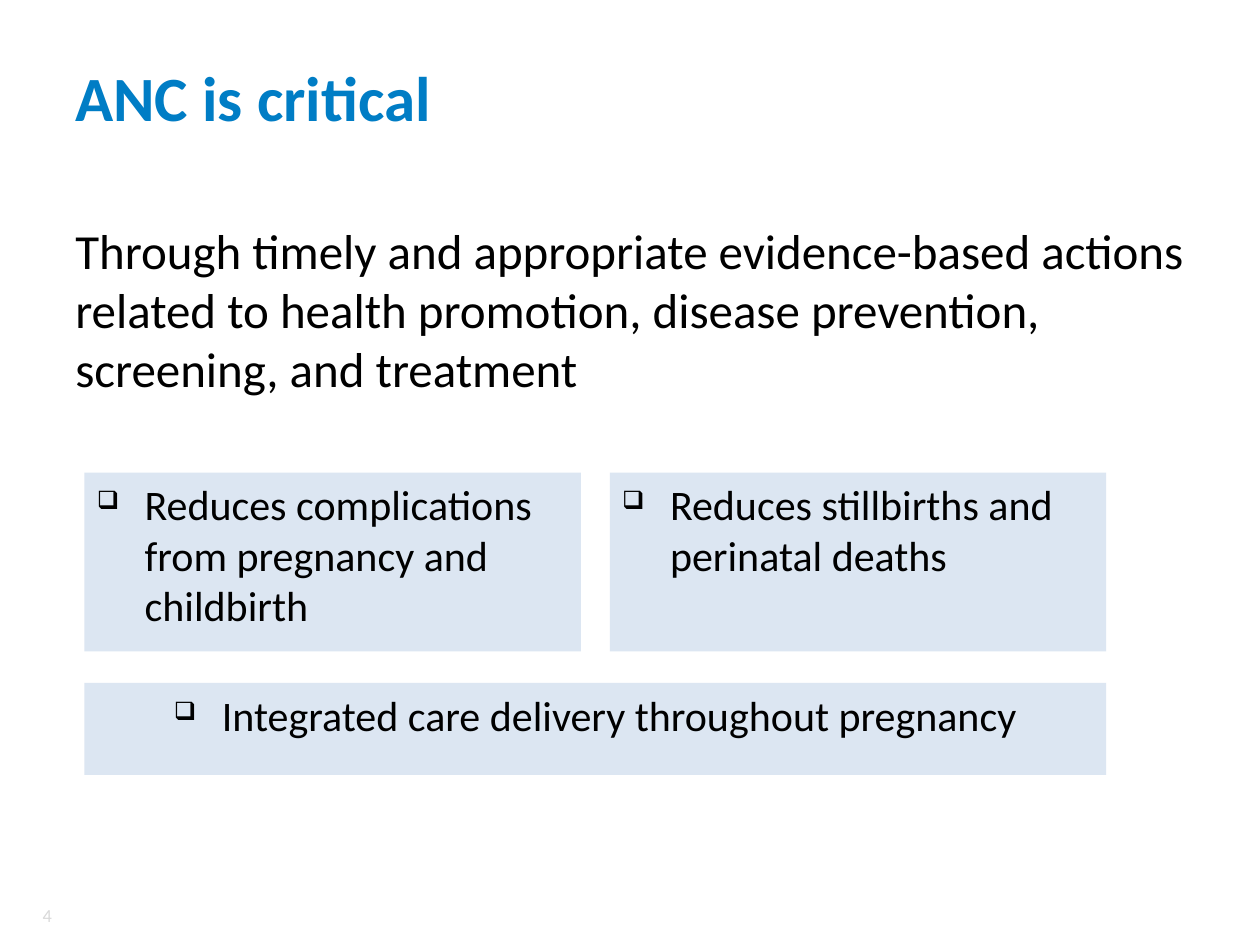
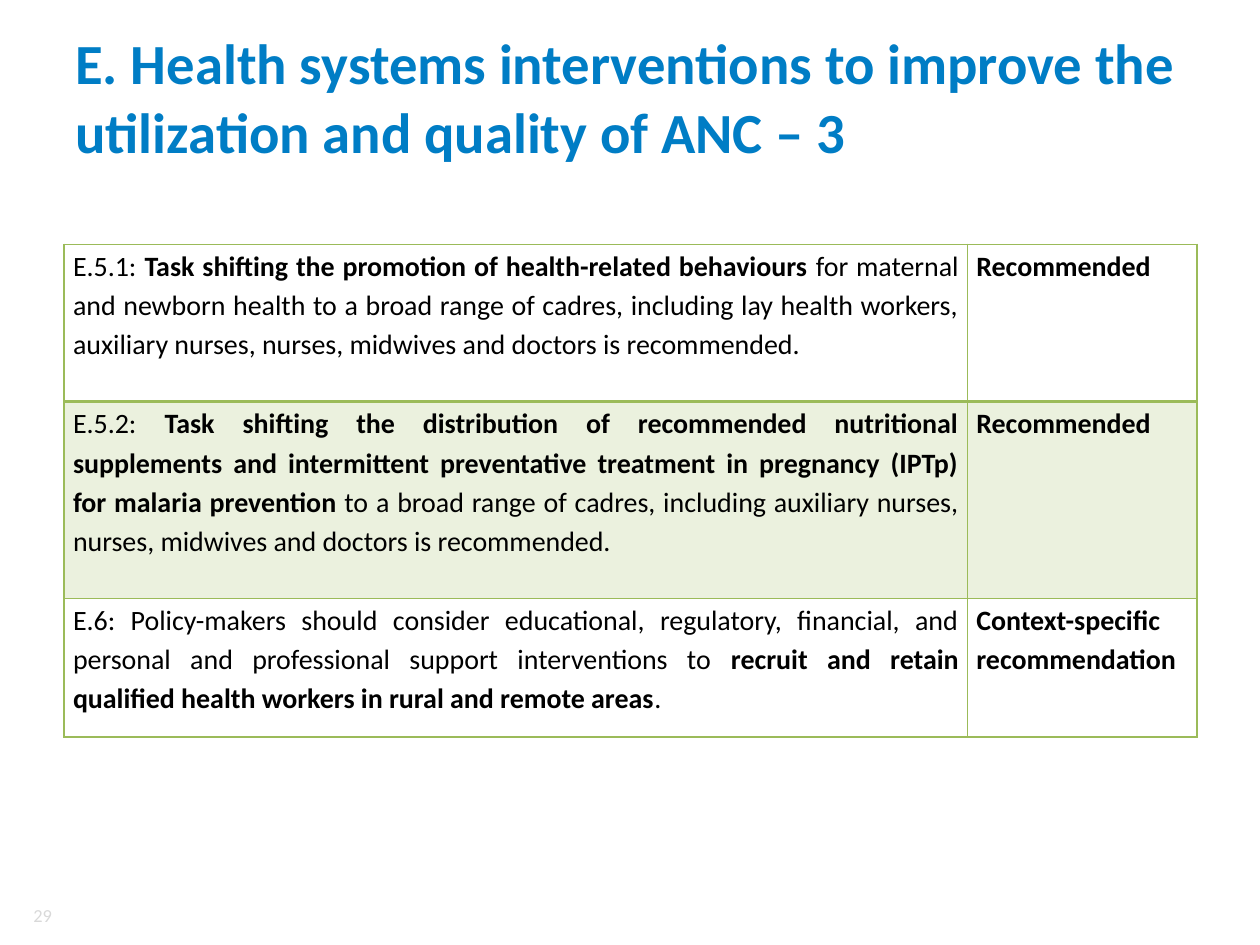
"""Build two slides on antenatal care: its benefits and the health systems advice."""
from dataclasses import dataclass

from lxml.etree import SubElement
from pptx import Presentation
from pptx.dml.color import RGBColor as Color
from pptx.enum.shapes import MSO_SHAPE as Preset
from pptx.enum.text import MSO_ANCHOR as Anchor, PP_ALIGN as Align
from pptx.oxml.ns import qn
from pptx.util import Inches, Pt

BENEFITS_TITLE = "ANC is critical"
BENEFITS_PAGE = 4
INTRODUCTION = (
    "Through timely and appropriate evidence-based actions related to health "
    "promotion, disease prevention, screening, and treatment"
)
OUTCOMES = [
    "Reduces complications from pregnancy and childbirth",
    "Reduces stillbirths and perinatal deaths",
]
DELIVERY = "Integrated care delivery throughout pregnancy"

SYSTEMS_TITLE = (
    "E. Health systems interventions to improve the utilization and quality of ANC – 3"
)
SYSTEMS_PAGE = 29
# Each intervention is a list of (text, bold) parts, followed by its verdict.
INTERVENTIONS = [
    (
        [
            ("E.5.1: ", False),
            ("Task shifting the promotion of health-related behaviours", True),
            (" for maternal and newborn health to a broad range of cadres, including "
             "lay health workers, auxiliary nurses, nurses, midwives and doctors is "
             "recommended.", False),
        ],
        "Recommended",
    ),
    (
        [
            ("E.5.2: ", False),
            ("Task shifting the distribution of recommended nutritional supplements "
             "and intermittent preventative treatment in pregnancy (IPTp) for malaria "
             "prevention", True),
            (" to a broad range of cadres, including auxiliary nurses, nurses, "
             "midwives and doctors is recommended.", False),
        ],
        "Recommended",
    ),
    (
        [
            ("E.6: Policy-makers should consider educational, regulatory, financial, "
             "and personal and professional support interventions to ", False),
            ("recruit and retain qualified health workers in rural and remote areas",
             True),
            (".", False),
        ],
        "Context-specific recommendation",
    ),
]
COLUMN_WIDTHS = [7.17, 1.82]
ROW_HEIGHTS = [1.25, 1.56, 1.1]


@dataclass(frozen=True)
class Theme:
    font: str = "Calibri"
    title: str = "007DC5"
    text: str = "000000"
    page: str = "D9D9D9"
    panel: str = "DCE6F2"
    rule: str = "9BBB59"
    band: str = "EBF1DE"
    paper: str = "FFFFFF"
    title_size: float = 36
    long_title_size: float = 32.4
    intro_size: float = 28
    panel_size: float = 24
    table_size: float = 16
    page_size: float = 10.5


THEME = Theme()


def set_font(paragraph, size, color=THEME.text, bold=False):
    font = paragraph.font
    font.name, font.size, font.bold = THEME.font, Pt(size), bold
    font.color.rgb = Color.from_string(color)


def add_text(slide, text, place, size, color=THEME.text, bold=False,
             anchor=Anchor.TOP, align=Align.LEFT):
    frame = slide.shapes.add_textbox(*map(Inches, place)).text_frame
    frame.word_wrap = True
    frame.vertical_anchor = anchor
    paragraph = frame.paragraphs[0]
    paragraph.text = text
    paragraph.alignment = align
    set_font(paragraph, size, color, bold)


def add_page(deck, title, page, title_size=THEME.title_size):
    slide = deck.slides.add_slide(deck.slide_layouts[6])
    add_text(slide, str(page), (0.12, 7.14, 0.39, 0.24), THEME.page_size,
             THEME.page, anchor=Anchor.MIDDLE, align=Align.RIGHT)
    add_text(slide, title, (0.5, 0.3, 9, 0.93), title_size, THEME.title,
             bold=True, anchor=Anchor.MIDDLE)
    return slide


def add_bullet(paragraph):
    props = paragraph._p.get_or_add_pPr()
    props.set("marL", str(Inches(0.38)))
    props.set("indent", str(-Inches(0.38)))
    tint = SubElement(props, qn("a:buClr"))
    SubElement(tint, qn("a:srgbClr"), val=THEME.text)
    SubElement(props, qn("a:buSzPct"), val="60000")
    SubElement(props, qn("a:buChar"), char="❑")


def add_panel(slide, text, place, align=Align.LEFT):
    panel = slide.shapes.add_shape(Preset.RECTANGLE, *map(Inches, place))
    panel.shadow.inherit = False
    panel.fill.solid()
    panel.fill.fore_color.rgb = Color.from_string(THEME.panel)
    panel.line.fill.background()
    frame = panel.text_frame
    frame.word_wrap = True
    frame.vertical_anchor = Anchor.TOP
    paragraph = frame.paragraphs[0]
    paragraph.text = text
    paragraph.alignment = align
    add_bullet(paragraph)
    set_font(paragraph, THEME.panel_size)


def add_borders(cell, top, bottom):
    props = cell._tc.get_or_add_tcPr()
    for side, width in (("L", 1), ("R", 1), ("T", top), ("B", bottom)):
        border = SubElement(props, qn(f"a:ln{side}"), w=str(Pt(width)))
        paint = SubElement(border, qn("a:solidFill"))
        SubElement(paint, qn("a:srgbClr"), val=THEME.rule)


def fill_cell(cell, parts, row):
    cell.margin_left = cell.margin_right = Inches(0.07)
    cell.margin_top = cell.margin_bottom = 0
    add_borders(cell, top=2 if row == 1 else 1, bottom=2 if row == 0 else 1)
    cell.fill.solid()
    cell.fill.fore_color.rgb = Color.from_string(THEME.band if row % 2 else THEME.paper)
    paragraph = cell.text_frame.paragraphs[0]
    paragraph.alignment = Align.JUSTIFY
    paragraph.line_spacing = 1.15
    paragraph.space_before = Pt(6)
    set_font(paragraph, THEME.table_size)
    for text, bold in parts:
        run = paragraph.add_run()
        run.text = text
        run.font.bold = bold


def build_benefits(deck):
    slide = add_page(deck, BENEFITS_TITLE, BENEFITS_PAGE)
    add_text(slide, INTRODUCTION, (0.5, 1.7, 9, 1.97), THEME.intro_size)
    left, top, width, height, gap = 0.67, 3.75, 3.94, 1.42, 0.23
    for index, outcome in enumerate(OUTCOMES):
        add_panel(slide, outcome, (left + index * (width + gap), top, width, height))
    add_panel(slide, DELIVERY, (left, 5.42, 2 * width + gap, 0.73), Align.CENTER)


def build_systems(deck):
    slide = add_page(deck, SYSTEMS_TITLE, SYSTEMS_PAGE, THEME.long_title_size)
    place = (0.51, 1.94, sum(COLUMN_WIDTHS), sum(ROW_HEIGHTS))
    table = slide.shapes.add_table(
        len(INTERVENTIONS), len(COLUMN_WIDTHS), *map(Inches, place)).table
    table.first_row = table.horz_banding = False
    for column, width in zip(table.columns, COLUMN_WIDTHS):
        column.width = Inches(width)
    for row, height in zip(table.rows, ROW_HEIGHTS):
        row.height = Inches(height)
    for row, (advice, verdict) in enumerate(INTERVENTIONS):
        fill_cell(table.cell(row, 0), advice, row)
        fill_cell(table.cell(row, 1), [(verdict, True)], row)


def main():
    deck = Presentation()
    deck.slide_width, deck.slide_height = Inches(10), Inches(7.5)
    build_benefits(deck)
    build_systems(deck)
    deck.save("out.pptx")


if __name__ == "__main__":
    main()
